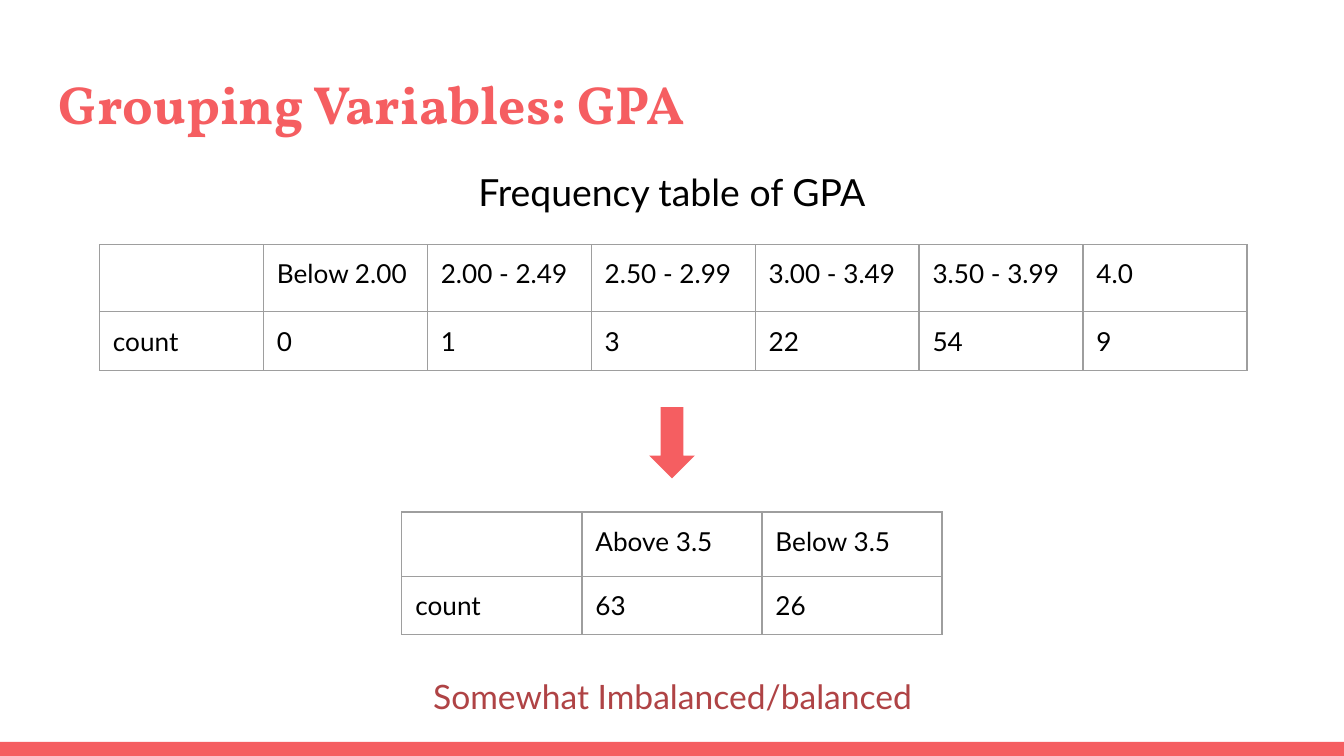
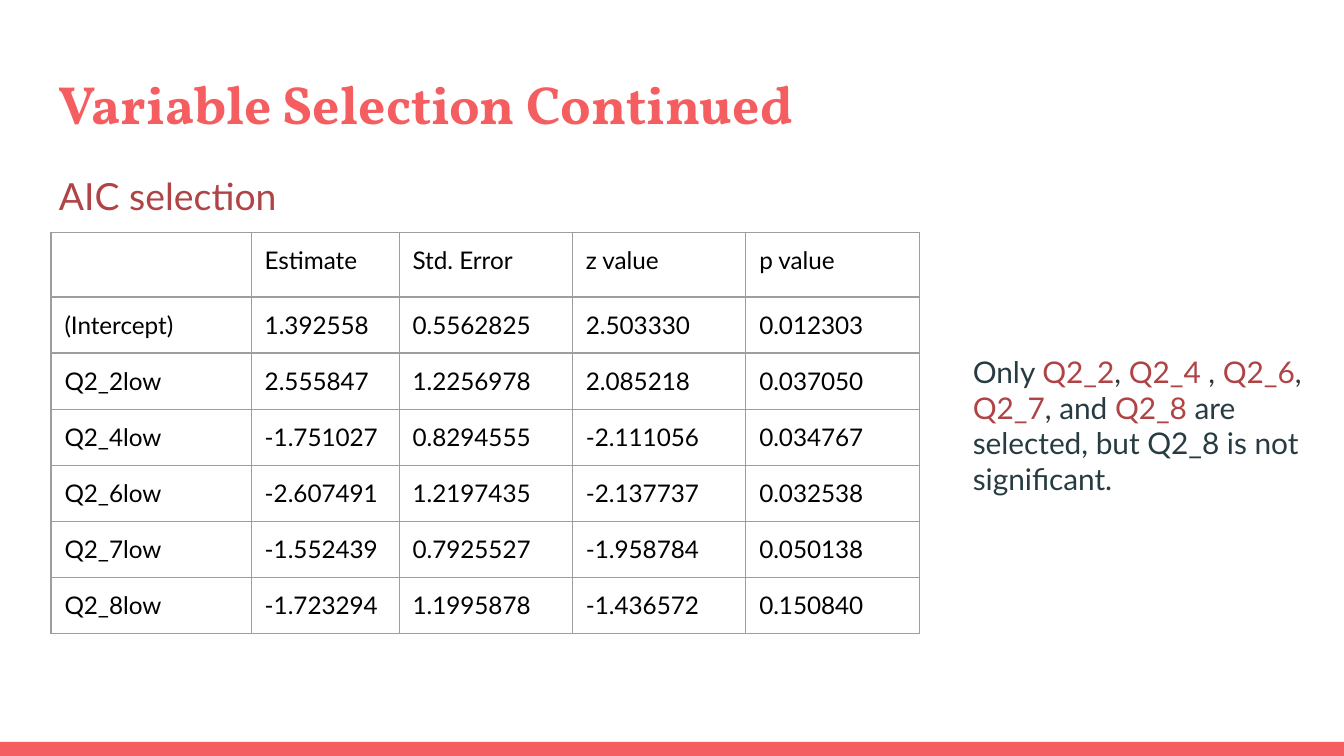
from lxml import etree
from pptx import Presentation
from pptx.dml.color import RGBColor
from pptx.enum import shapes, text
from pptx.oxml import ns
from pptx.util import Inches, Pt

CORAL, BRICK, BLACK = "F55E61", "AF4345", "000000"
SLATE, INK, GREY = "273C42", "32363A", "9E9E9E"
HEAD, BODY = "Vollkorn", "Lato"
WIDE = 10
HIGH = WIDE * 9 / 16
PAD = Inches(0.1)


def hue(code):
    return RGBColor.from_string(code)


def solid(slide, kind, box, color):
    shape = slide.shapes.add_shape(kind, *map(Inches, box))
    shape.shadow.inherit = False
    shape.fill.solid()
    shape.fill.fore_color.rgb = hue(color)
    shape.line.fill.background()


def add_run(para, words, size, color, font=BODY, bold=False):
    run = para.add_run()
    run.text = words
    run.font.size = Pt(size)
    run.font.name = font
    run.font.bold = bold
    run.font.color.rgb = hue(color)


def label(slide, box, runs, size, align=text.PP_ALIGN.LEFT, **style):
    """Add one paragraph made of (words, color) runs and return it."""
    frame = slide.shapes.add_textbox(*map(Inches, box)).text_frame
    frame.word_wrap = True
    frame.margin_left = frame.margin_right = PAD
    frame.margin_top = frame.margin_bottom = PAD
    para = frame.paragraphs[0]
    para.alignment = align
    for words, color in runs:
        add_run(para, words, size, color, **style)
    return para


def edge(cell):
    """Draw a thin grey line on all four sides of a cell."""
    props = cell._tc.get_or_add_tcPr()
    for side in ("lnL", "lnR", "lnT", "lnB"):
        line = etree.SubElement(props, ns.qn("a:" + side), w=str(Pt(0.75)))
        fill = etree.SubElement(line, ns.qn("a:solidFill"))
        etree.SubElement(fill, ns.qn("a:srgbClr"), val=GREY)


def grid(slide, left, top, cols, head, row, data, size):
    """Add a table with a header of height head and rows of height row."""
    rows = [head] + [row] * (len(data) - 1)
    box = (left, top, sum(cols), sum(rows))
    table = slide.shapes.add_table(
        len(rows), len(cols), *map(Inches, box)).table
    table.first_row = table.horz_banding = False
    for col, width in zip(table.columns, cols):
        col.width = Inches(width)
    for line, height, values in zip(table.rows, rows, data):
        line.height = Inches(height)
        for cell, value in zip(line.cells, values):
            cell.margin_left = cell.margin_right = PAD
            cell.margin_top = cell.margin_bottom = PAD
            edge(cell)
            cell.fill.background()
            para = cell.text_frame.paragraphs[0]
            para.font.size = Pt(size)
            if value:
                add_run(para, value, size, BLACK)


def base(deck, title):
    """Add a slide with the shared title and bottom band."""
    slide = deck.slides.add_slide(deck.slide_layouts[6])
    solid(slide, shapes.MSO_SHAPE.RECTANGLE, (0, 5.52, WIDE, 0.11), CORAL)
    label(slide, (0.34, 0.43, 9.32, 0.68), [(title, CORAL)], 28.8,
          font=HEAD, bold=True)
    return slide


def groups(deck):
    slide = base(deck, "Grouping Variables: GPA")
    mid = text.PP_ALIGN.CENTER
    para = label(slide, (0.34, 1.11, 9.32, 0.58),
                 [("Frequency table of GPA", BLACK)], 20, mid)
    para.line_spacing = 1.15
    para.space_after = Pt(12)
    grid(slide, 2.99, 3.81, [1.34] * 3, 0.48, 0.43,
         [("", "Above 3.5", "Below 3.5"), ("count", "63", "26")], 14)
    solid(slide, shapes.MSO_SHAPE.DOWN_ARROW, (4.83, 3.03, 0.34, 0.53), CORAL)
    label(slide, (2.5, 4.93, 5.01, 0.5),
          [("Somewhat Imbalanced/balanced", BRICK)], 18, mid)
    grid(slide, 0.74, 1.82, [1.22] * 7, 0.5, 0.43,
         [("", "Below 2.00", "2.00 - 2.49", "2.50 - 2.99", "3.00 - 3.49",
           "3.50 - 3.99", "4.0"),
          ("count", "0", "1", "3", "22", "54", "9")], 14)


def chosen(deck):
    slide = base(deck, "Variable Selection Continued")
    data = [
        ("", "Estimate", "Std. Error", "z value", "p value"),
        ("(Intercept)", "1.392558", "0.5562825", "2.503330", "0.012303"),
        ("Q2_2low", "2.555847", "1.2256978", "2.085218", "0.037050"),
        ("Q2_4low", "-1.751027", "0.8294555", "-2.111056", "0.034767"),
        ("Q2_6low", "-2.607491", "1.2197435", "-2.137737", "0.032538"),
        ("Q2_7low", "-1.552439", "0.7925527", "-1.958784", "0.050138"),
        ("Q2_8low", "-1.723294", "1.1995878", "-1.436572", "0.150840"),
    ]
    grid(slide, 0.38, 1.73, [1.49, 1.1] + [1.29] * 3, 0.48, 0.41, data, 13)
    label(slide, (0.34, 1.19, 3.32, 0.54), [("AIC selection", BRICK)], 20)
    label(slide, (7.14, 2.53, 2.95, 1.28), [
        ("Only ", SLATE), ("Q2_2", BRICK), (", ", INK), ("Q2_4 ", BRICK),
        (",", INK), (" Q2_6", BRICK), (",", INK), (" Q2_7", BRICK),
        (", ", INK), ("and ", SLATE), ("Q2_8", BRICK),
        (" are selected, but Q2_8 is not significant.", SLATE)], 16)


def main():
    deck = Presentation()
    deck.slide_width, deck.slide_height = Inches(WIDE), Inches(HIGH)
    groups(deck)
    chosen(deck)
    deck.save("out.pptx")


if __name__ == "__main__":
    main()
